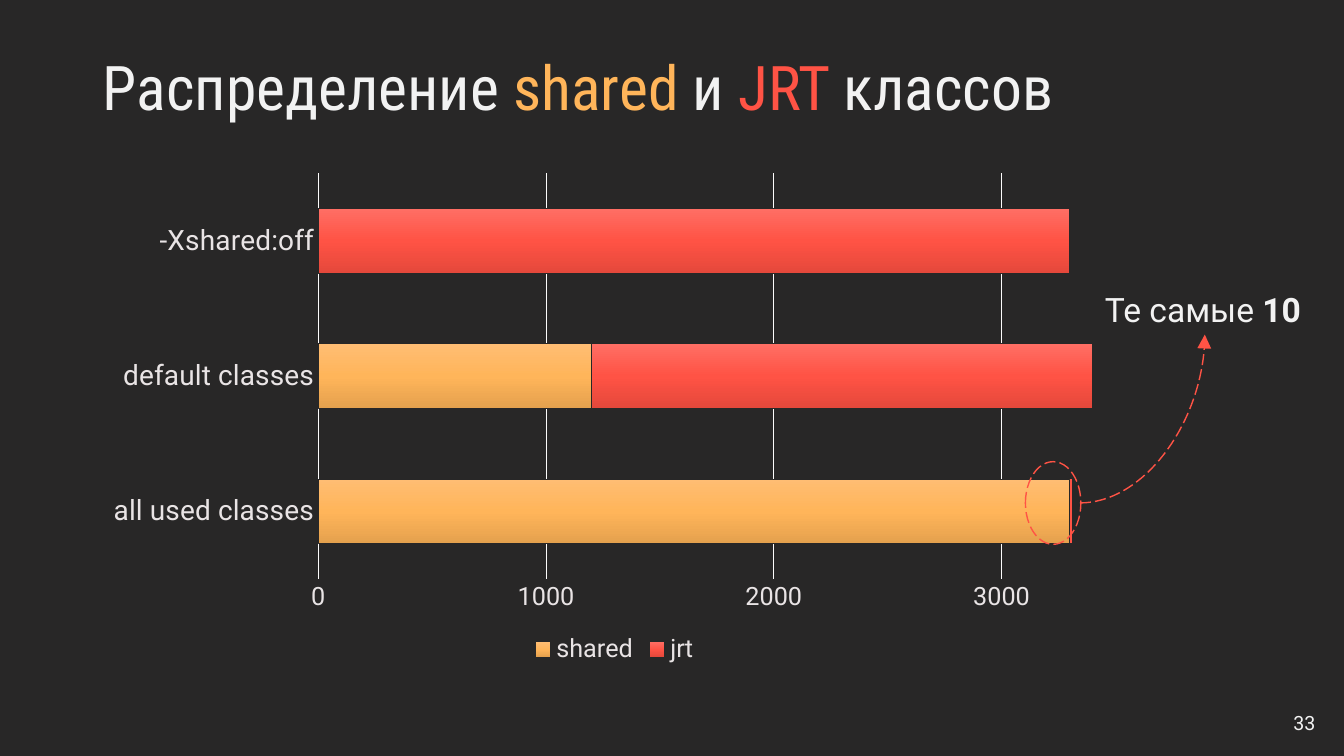
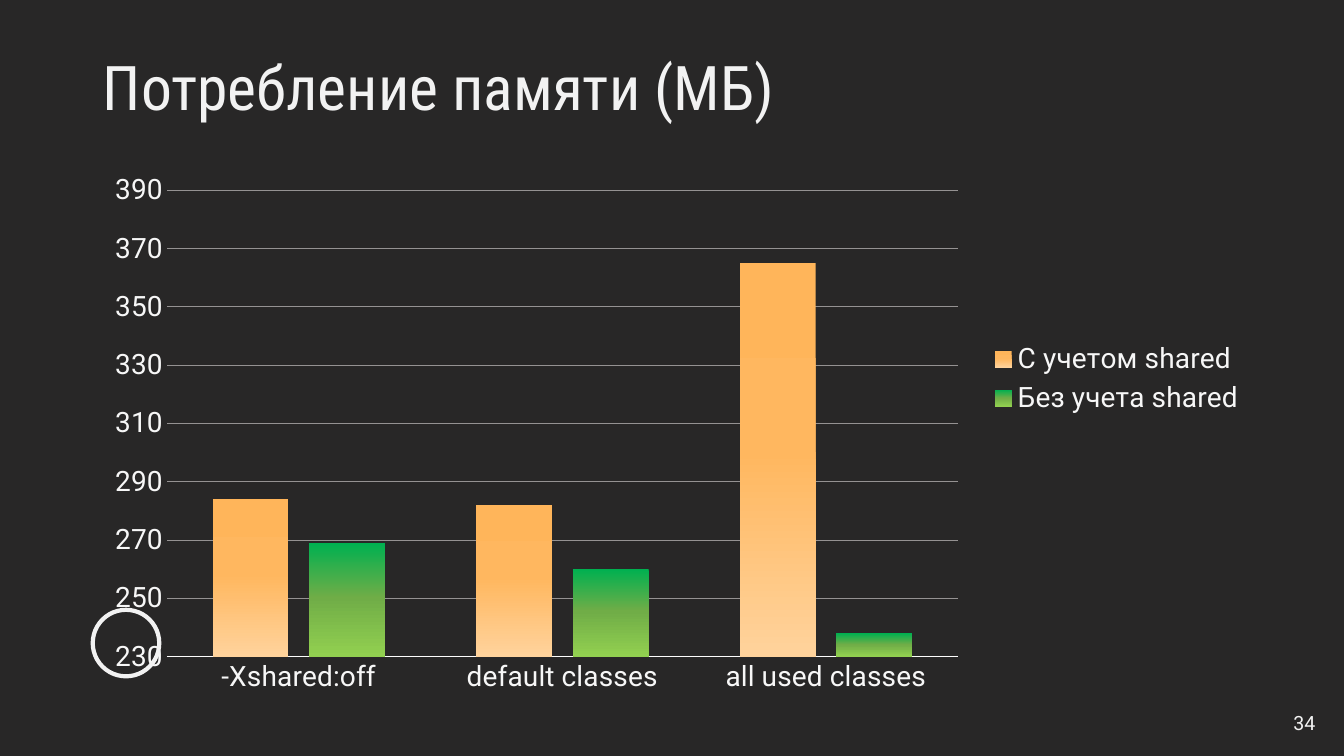
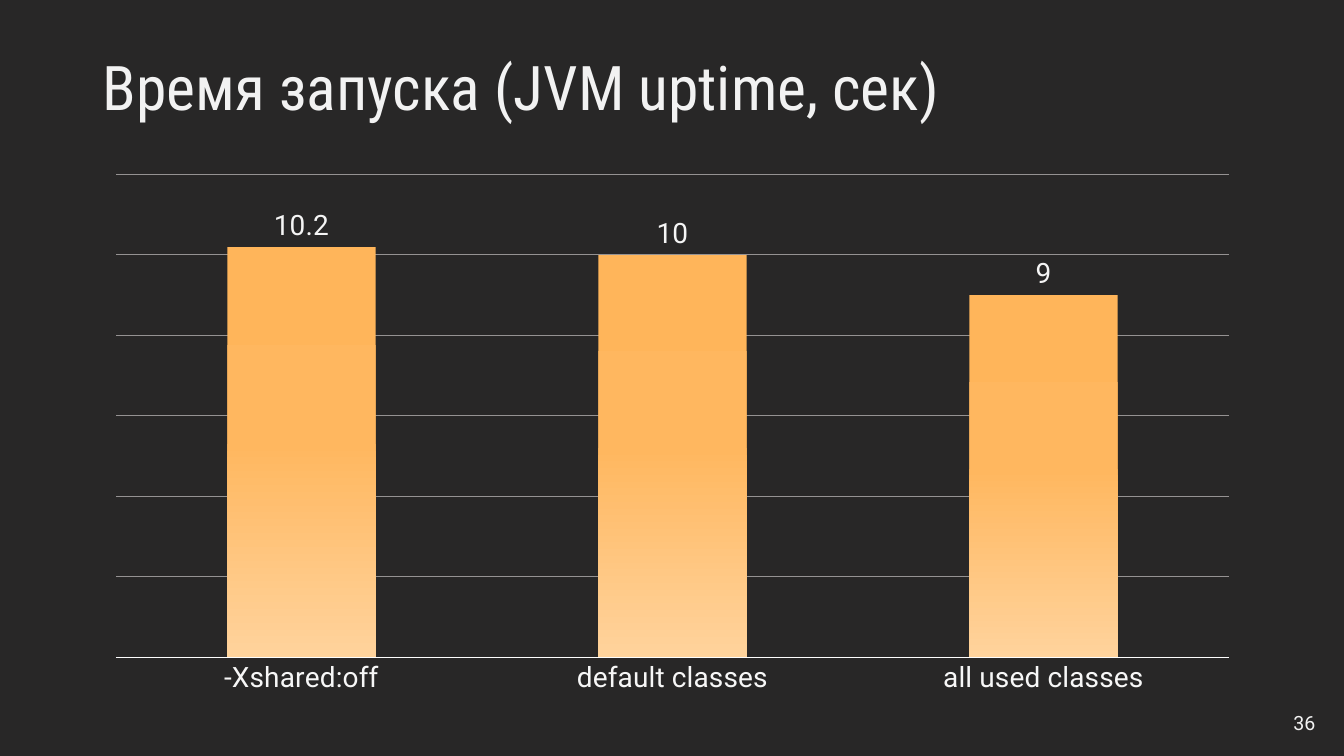
from dataclasses import dataclass
from typing import Optional

import lxml.etree
import pptx
import pptx.chart.data
import pptx.dml.color
import pptx.enum.chart
import pptx.enum.dml
import pptx.enum.shapes
import pptx.enum.text
import pptx.oxml.ns
import pptx.util
from pptx.util import Inches

COLORS = {
    "background": "282727",
    "text": "F2F2F2",
    "shared": "FFB55A",
    "jrt": "FF5345",
    "soft_label": "E9E4E5",
    "label": "F7F7F7",
    "value_label": "F5F5F5",
    "soft_line": "FCFBFB",
    "axis_line": "FDFDFD",
    "grid": "959292",
}
GRADIENTS = {
    "shared_bar": ((0, "FFBD73"), (50, "FFB55A"), (100, "E5A14E")),
    "jrt_bar": ((0, "FF6E64"), (50, "FF5345"), (100, "E5483B")),
    "orange": ((0, "FFB55A"), (48, "FFB75F"), (100, "FFD39C")),
    "green": ((0, "00B050"), (48, "70AD47"), (100, "92D050")),
}
BODY_FONT = "Roboto"
TITLE_FONT = "Roboto Condensed"
CATEGORIES = ("-Xshared:off", "default classes", "all used classes")
XL = pptx.enum.chart


@dataclass(frozen=True)
class TextPart:
    text: str
    color: str = "text"
    bold: bool = False


@dataclass(frozen=True)
class Series:
    name: str
    values: tuple[float, ...]
    gradient: str


@dataclass(frozen=True)
class ChartStyle:
    kind: XL.XL_CHART_TYPE
    width: float
    height: float
    gap: int
    overlap: int
    minimum: float
    maximum: float
    step: float
    label_color: str = "label"
    axis_color: str = "axis_line"
    grid_color: str = "grid"
    value_size: int = 20
    legend: Optional[XL.XL_LEGEND_POSITION] = None
    legend_place: Optional[dict[str, float]] = None
    plot_place: Optional[dict[str, float]] = None
    outline: Optional[str] = None
    show_values: bool = False


@dataclass(frozen=True)
class ChartSlide:
    number: int
    title: tuple[TextPart, ...]
    categories: tuple[str, ...]
    series: tuple[Series, ...]
    style: ChartStyle


SLIDES = (
    ChartSlide(
        33,
        (
            TextPart("Распределение "),
            TextPart("shared ", "shared"),
            TextPart("и "),
            TextPart("JRT ", "jrt"),
            TextPart("классов"),
        ),
        CATEGORIES[::-1],
        (
            Series("shared", (3300, 1200, 0), "shared_bar"),
            Series("jrt", (10, 2200, 3300), "jrt_bar"),
        ),
        ChartStyle(
            XL.XL_CHART_TYPE.BAR_STACKED, 10.35, 5.02, 110, 100, 0, 3500, 1000,
            label_color="soft_label", axis_color="soft_line", grid_color="soft_line",
            value_size=18, legend=XL.XL_LEGEND_POSITION.BOTTOM, outline="background",
        ),
    ),
    ChartSlide(
        34,
        (TextPart("Потребление памяти (МБ)"),),
        CATEGORIES,
        (
            Series("C учетом shared", (284, 282, 365), "orange"),
            Series("Без учета shared", (269, 260, 238), "green"),
        ),
        ChartStyle(
            XL.XL_CHART_TYPE.COLUMN_CLUSTERED, 11.5, 5.38, 120, -27, 230, 390, 20,
            legend=XL.XL_LEGEND_POSITION.RIGHT,
            legend_place={"x": 0.77, "y": 0.32},
            plot_place={"x": 0.064, "y": 0.05, "w": 0.682, "h": 0.86},
        ),
    ),
    ChartSlide(
        36,
        (TextPart("Время запуска (JVM uptime, сек)"),),
        CATEGORIES,
        (Series("Series 1", (10.2, 10, 9), "orange"),),
        ChartStyle(
            XL.XL_CHART_TYPE.COLUMN_CLUSTERED, 11.5, 5.38, 150, -27, 0, 12, 2,
            show_values=True,
        ),
    ),
)


def rgb(name: str) -> pptx.dml.color.RGBColor:
    return pptx.dml.color.RGBColor.from_string(COLORS[name])


def format_font(font, size: float, color: str, name: str = BODY_FONT) -> None:
    font.size = pptx.util.Pt(size)
    font.name = name
    font.color.rgb = rgb(color)


def format_line(line, color: str, width: float) -> None:
    line.color.rgb = rgb(color)
    line.width = pptx.util.Pt(width)


def write_parts(paragraph, parts: tuple[TextPart, ...], size: float, font: str = BODY_FONT) -> None:
    for part in parts:
        run = paragraph.add_run()
        run.text = part.text
        format_font(run.font, size, part.color, font)
        if part.bold:
            run.font.bold = True


def add_title(slide, parts: tuple[TextPart, ...]) -> None:
    title = slide.shapes.title
    title.left, title.top = Inches(0.92), Inches(0.17)
    title.width, title.height = Inches(11.5), Inches(1.45)
    frame = title.text_frame
    frame.word_wrap = True
    frame.auto_size = pptx.enum.text.MSO_AUTO_SIZE.NONE
    frame.vertical_anchor = pptx.enum.text.MSO_ANCHOR.MIDDLE
    paragraph = frame.paragraphs[0]
    paragraph.alignment = pptx.enum.text.PP_ALIGN.LEFT
    paragraph.line_spacing = 0.9
    write_parts(paragraph, parts, 44, TITLE_FONT)


def add_text(
    slide, left: float, top: float, width: float, parts: tuple[TextPart, ...], size: float, wrap: bool
) -> None:
    box = slide.shapes.add_textbox(Inches(left), Inches(top), Inches(width), Inches(0.5))
    box.text_frame.word_wrap = wrap
    write_parts(box.text_frame.paragraphs[0], parts, size)


def fill_gradient(series, gradient: str) -> None:
    qn = pptx.oxml.ns.qn
    fill = lxml.etree.Element(qn("a:gradFill"), rotWithShape="1")
    stops = lxml.etree.SubElement(fill, qn("a:gsLst"))
    for position, color in GRADIENTS[gradient]:
        stop = lxml.etree.SubElement(stops, qn("a:gs"), pos=str(position * 1000))
        lxml.etree.SubElement(stop, qn("a:srgbClr"), val=color)
    lxml.etree.SubElement(fill, qn("a:lin"), ang="5400000", scaled="0")
    series._element.get_or_add_spPr().insert(0, fill)


def place_part(element, index: int, place: dict[str, float], inner: bool = False) -> None:
    qn = pptx.oxml.ns.qn
    for previous in element.findall(qn("c:layout")):
        element.remove(previous)
    layout = lxml.etree.Element(qn("c:layout"))
    manual = lxml.etree.SubElement(layout, qn("c:manualLayout"))
    if inner:
        lxml.etree.SubElement(manual, qn("c:layoutTarget"), val="inner")
    for side in ("x", "y"):
        lxml.etree.SubElement(manual, qn(f"c:{side}Mode"), val="edge")
    for side, value in place.items():
        lxml.etree.SubElement(manual, qn(f"c:{side}"), val=str(value))
    element.insert(index, layout)


def format_axes(chart, style: ChartStyle) -> None:
    category_axis, value_axis = chart.category_axis, chart.value_axis
    for axis, size in ((category_axis, 20), (value_axis, style.value_size)):
        axis.major_tick_mark = XL.XL_TICK_MARK.NONE
        axis.minor_tick_mark = XL.XL_TICK_MARK.NONE
        format_font(axis.tick_labels.font, size, style.label_color)
    category_axis.has_major_gridlines = False
    format_line(category_axis.format.line, style.axis_color, 0.75)
    value_axis.minimum_scale = style.minimum
    value_axis.maximum_scale = style.maximum
    value_axis.major_unit = style.step
    value_axis.has_major_gridlines = True
    format_line(value_axis.major_gridlines.format.line, style.grid_color, 0.75)
    value_axis.format.line.fill.background()
    value_axis.visible = not style.show_values


def add_chart(slide, content: ChartSlide):
    style = content.style
    data = pptx.chart.data.CategoryChartData()
    data.categories = content.categories
    for item in content.series:
        data.add_series(item.name, item.values)
    chart = slide.shapes.add_chart(
        style.kind, Inches(0.92), Inches(1.62), Inches(style.width), Inches(style.height), data
    ).chart
    format_font(chart.font, 20, "text")
    chart.has_title = False
    format_axes(chart, style)

    plot = chart.plots[0]
    plot.gap_width = style.gap
    plot.overlap = style.overlap
    plot.vary_by_categories = False
    for series, item in zip(plot.series, content.series):
        fill_gradient(series, item.gradient)
        if style.outline:
            format_line(series.format.line, style.outline, 0.75)

    chart.has_legend = style.legend is not None
    if style.legend is not None:
        chart.legend.position = style.legend
        chart.legend.include_in_layout = False
        format_font(chart.legend.font, style.value_size, style.label_color)
    if style.legend_place:
        place_part(chart.legend._element, 1, style.legend_place)
    if style.plot_place:
        plot_area = chart._chartSpace.chart.plotArea
        place_part(plot_area, 0, style.plot_place, inner=True)
    if style.show_values:
        plot.has_data_labels = True
        labels = plot.data_labels
        labels.show_value = True
        labels.position = XL.XL_LABEL_POSITION.OUTSIDE_END
        format_font(labels.font, 20, "value_label")
    return chart


def add_ring(slide, left: float, top: float, width: float, height: float, color: str, weight: float):
    ring = slide.shapes.add_shape(
        pptx.enum.shapes.MSO_SHAPE.OVAL, Inches(left), Inches(top), Inches(width), Inches(height)
    )
    ring.shadow.inherit = False
    ring.fill.background()
    format_line(ring.line, color, weight)
    return ring


def add_curved_arrow(slide, start: tuple[float, float], end: tuple[float, float]) -> None:
    qn = pptx.oxml.ns.qn
    arrow = slide.shapes.add_connector(
        pptx.enum.shapes.MSO_CONNECTOR.CURVE, *(Inches(value) for value in start + end)
    )
    format_line(arrow.line, "jrt", 1)
    arrow.line.dash_style = pptx.enum.dml.MSO_LINE.LONG_DASH
    properties = arrow._element.spPr
    properties.find(qn("a:prstGeom")).set("prst", "curvedConnector2")
    line = properties.find(qn("a:ln"))
    lxml.etree.SubElement(line, qn("a:tailEnd"), type="triangle", w="lg", len="lg")
    lxml.etree.SubElement(properties, qn("a:effectLst"))


def add_remaining_classes_note(slide, chart) -> None:
    remaining = chart.plots[0].series[1].points[0]
    remaining.format.fill.solid()
    remaining.format.fill.fore_color.rgb = rgb("jrt")
    remaining.format.line.fill.background()
    ring = add_ring(slide, 10.17, 4.58, 0.55, 0.82, "jrt", 1)
    ring.line.dash_style = pptx.enum.dml.MSO_LINE.LONG_DASH
    add_text(slide, 10.86, 2.82, 2.17, (TextPart("Те самые "), TextPart("10", bold=True)), 24, False)
    add_curved_arrow(slide, (10.71, 4.99), (11.95, 3.32))


def main() -> None:
    presentation = pptx.Presentation()
    presentation.slide_width = Inches(13.33)
    presentation.slide_height = Inches(7.5)
    background = presentation.slide_master.background.fill
    background.solid()
    background.fore_color.rgb = rgb("background")

    slides, charts = [], []
    for content in SLIDES:
        slide = presentation.slides.add_slide(presentation.slide_layouts[5])
        add_title(slide, content.title)
        add_text(slide, 12.73, 7, 0.6, (TextPart(str(content.number)),), 14, True)
        charts.append(add_chart(slide, content))
        slides.append(slide)

    distribution_slide, memory_slide, _ = slides
    add_remaining_classes_note(distribution_slide, charts[0])
    add_ring(memory_slide, 0.92, 6.05, 0.66, 0.66, "text", 3)
    presentation.save("out.pptx")


if __name__ == "__main__":
    main()
